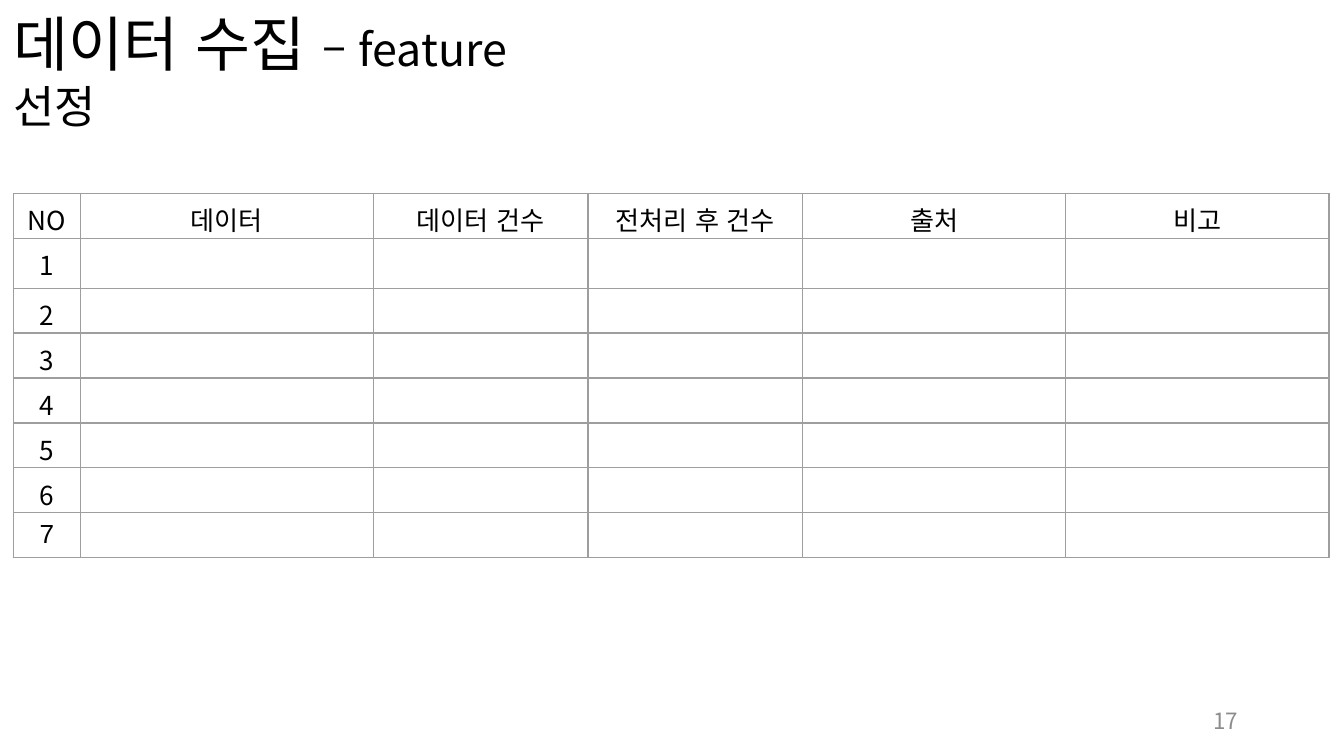
from dataclasses import dataclass

from lxml import etree
from pptx import Presentation
from pptx import util as u
from pptx.dml.color import RGBColor
from pptx.enum import lang, text
from pptx.oxml.ns import qn


@dataclass(frozen=True)
class Theme:
    font: str = "Noto Sans CJK KR"
    digit_font: str = "Arial"
    ink: str = "000000"
    muted: str = "8C8C8C"
    rule: str = "9E9E9E"
    rule_width: float = 0.75
    title: float = 32
    subtitle: float = 24
    body: float = 14
    footer: float = 12


@dataclass(frozen=True)
class Column:
    heading: str
    share: float


THEME = Theme()
WIDTH = u.Inches(10)
HEIGHT = WIDTH * 9 // 16
COLUMNS = [
    Column("NO", 0.5),
    Column("데이터", 2.18),
    Column("데이터 건수", 1.6),
    Column("전처리 후 건수", 1.6),
    Column("출처", 1.96),
    Column("비고", 1.96),
]
ENTRY_COUNT = 7
TABLE_WIDTH, TABLE_HEIGHT = 9.79, 2.71
FIRST_ENTRY_HEIGHT = 0.37
ROW_HEIGHT = (TABLE_HEIGHT - FIRST_ENTRY_HEIGHT) / ENTRY_COUNT


def add_text(paragraph, content: str, *, size: float, color: str = THEME.ink,
             font: str = THEME.font, align=text.PP_ALIGN.LEFT) -> None:
    """Append one formatted run to a paragraph."""
    paragraph.alignment = align
    run = paragraph.add_run()
    run.text = content
    run.font.size = u.Pt(size)
    run.font.color.rgb = RGBColor.from_string(color)
    run.font.name = font
    run.font.language_id = lang.MSO_LANGUAGE_ID.KOREAN
    east_asian = etree.SubElement(run.font._element, qn("a:ea"))
    east_asian.set("typeface", font)


def place(shape, left: float, top: float, width: float, height: float) -> None:
    """Position a shape by shares of the slide's size."""
    shape.left, shape.width = int(WIDTH * left), int(WIDTH * width)
    shape.top, shape.height = int(HEIGHT * top), int(HEIGHT * height)


def format_cell(cell) -> None:
    """Clear the fill, tighten the margins and rule all four sides."""
    cell.margin_top, cell.margin_bottom = u.Inches(0.05), 0
    cell.margin_left = cell.margin_right = u.Inches(0.05)
    properties = cell._tc.get_or_add_tcPr()
    for side in ("a:lnL", "a:lnR", "a:lnT", "a:lnB"):
        line = etree.SubElement(properties, qn(side), w=str(u.Pt(THEME.rule_width)))
        fill = etree.SubElement(line, qn("a:solidFill"))
        etree.SubElement(fill, qn("a:srgbClr"), val=THEME.rule)
    cell.fill.background()


def add_title(slide) -> None:
    title = slide.shapes.title
    place(title, 0, 0, 0.456, 0.114)
    frame = title.text_frame
    frame.word_wrap = True
    frame.auto_size = text.MSO_AUTO_SIZE.NONE
    frame.vertical_anchor = text.MSO_ANCHOR.TOP
    paragraph = frame.paragraphs[0]
    paragraph.line_spacing = 1.0
    add_text(paragraph, "데이터 수집 ", size=THEME.title)
    add_text(paragraph, "– feature 선정", size=THEME.subtitle)


def add_feature_table(slide) -> None:
    heights = [ROW_HEIGHT, FIRST_ENTRY_HEIGHT] + [ROW_HEIGHT] * (ENTRY_COUNT - 1)
    frame = slide.shapes.add_table(
        len(heights), len(COLUMNS), u.Inches(0.1), u.Inches(1.44),
        u.Inches(TABLE_WIDTH), u.Inches(TABLE_HEIGHT))
    table = frame.table
    table.first_row = table.horz_banding = False
    for row, height in zip(table.rows, heights):
        row.height = u.Inches(height)
    total_share = sum(column.share for column in COLUMNS)
    for index, column in enumerate(COLUMNS):
        table.columns[index].width = u.Inches(TABLE_WIDTH * column.share / total_share)
        for row in range(len(heights)):
            cell = table.cell(row, index)
            format_cell(cell)
            paragraph = cell.text_frame.paragraphs[0]
            content = column.heading if row == 0 else str(row) if index == 0 else ""
            if content:
                font = THEME.digit_font if row == ENTRY_COUNT else THEME.font
                add_text(paragraph, content, size=THEME.body, font=font,
                         align=text.PP_ALIGN.CENTER)
            else:
                # Keep empty cells from stretching their row
                etree.SubElement(paragraph._p, qn("a:endParaRPr"),
                                 sz=str(int(THEME.body * 100)))


def add_page_number(slide, number: int) -> None:
    box = slide.shapes.add_textbox(0, 0, 0, 0)
    place(box, 0.706, 0.927, 0.225, 0.053)
    frame = box.text_frame
    frame.word_wrap = True
    frame.vertical_anchor = text.MSO_ANCHOR.MIDDLE
    add_text(frame.paragraphs[0], str(number), size=THEME.footer,
             color=THEME.muted, align=text.PP_ALIGN.RIGHT)


def main() -> None:
    presentation = Presentation()
    presentation.slide_width, presentation.slide_height = WIDTH, HEIGHT
    slide = presentation.slides.add_slide(presentation.slide_layouts[5])
    add_title(slide)
    add_feature_table(slide)
    add_page_number(slide, 17)
    presentation.save("out.pptx")


if __name__ == "__main__":
    main()
